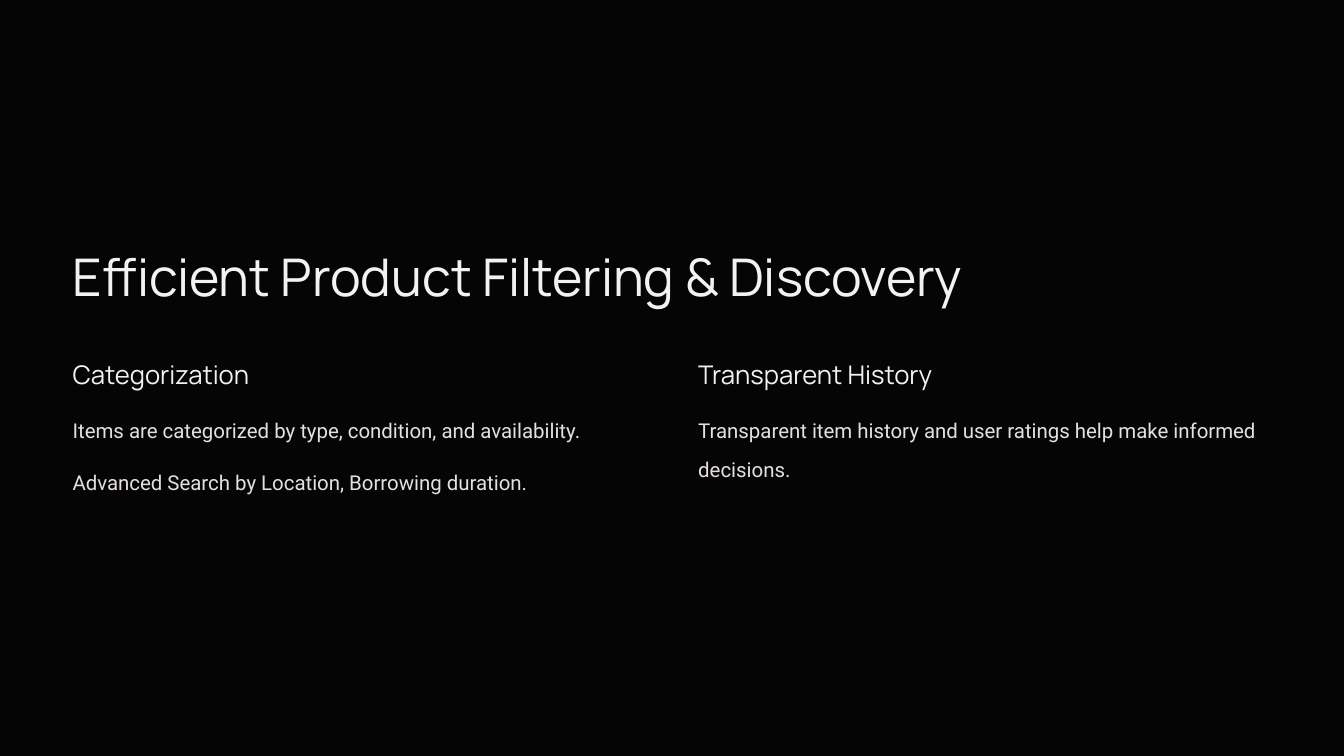
"""Build the product filtering and discovery slide."""
import pptx
import pptx.dml.color
import pptx.enum.shapes
import pptx.enum.text
import pptx.oxml.ns
import pptx.util
from lxml import etree

Inches = pptx.util.Inches
Pt = pptx.util.Pt

BACKGROUND = pptx.dml.color.RGBColor(0x19, 0x19, 0x1A)
PANEL = pptx.dml.color.RGBColor(0x05, 0x05, 0x05)
HEADING_COLOR = pptx.dml.color.RGBColor(0xF2, 0xF2, 0xF3)
BODY_COLOR = pptx.dml.color.RGBColor(0xE5, 0xE0, 0xDF)

TITLE = "Efficient Product Filtering & Discovery"
COLUMNS = [
    ("Categorization", [
        "Items are categorized by type, condition, and availability.",
        "Advanced Search by Location, Borrowing duration.",
    ]),
    ("Transparent History", [
        "Transparent item history and user ratings help make informed decisions.",
    ]),
]

TITLE_STYLE = ("Manrope", 55.6, 83.2, HEADING_COLOR)
HEADING_STYLE = ("Manrope", 27.5, 41.2, HEADING_COLOR)
BODY_STYLE = ("Roboto", 21.85, 42.6, BODY_COLOR)

LEFT = 1.08
COLUMN_WIDTH = 8.54
COLUMN_STEP = 9.31
PARAGRAPH_GAP = 13.3
COMPARISON_LAYOUT = 4


def add_panel(presentation, slide):
    panel = slide.shapes.add_shape(
        pptx.enum.shapes.MSO_SHAPE.RECTANGLE,
        0, 0, presentation.slide_width, presentation.slide_height,
    )
    panel.shadow.inherit = False
    panel.fill.solid()
    panel.fill.fore_color.rgb = PANEL
    panel.line.fill.background()
    slide.shapes.title._element.addprevious(panel._element)


def fill_placeholder(shape, box, texts, style):
    font_name, size, line_height, color = style
    shape.left, shape.top, shape.width, shape.height = map(Inches, box)
    frame = shape.text_frame
    frame.margin_left = frame.margin_top = frame.margin_right = frame.margin_bottom = 0
    frame.word_wrap = True
    frame.auto_size = pptx.enum.text.MSO_AUTO_SIZE.NONE
    frame.vertical_anchor = pptx.enum.text.MSO_ANCHOR.TOP
    for index, text in enumerate(texts):
        paragraph = frame.add_paragraph() if index else frame.paragraphs[0]
        properties = paragraph._p.get_or_add_pPr()
        properties.set("marL", "0")
        properties.set("indent", "0")
        etree.SubElement(properties, pptx.oxml.ns.qn("a:buNone"))
        paragraph.alignment = pptx.enum.text.PP_ALIGN.LEFT
        paragraph.line_spacing = Pt(line_height)
        paragraph.space_before = Pt(PARAGRAPH_GAP if index else 0)
        run = paragraph.add_run()
        run.text = text
        run.font.name = font_name
        run.font.size = Pt(size)
        run.font.bold = False
        run.font.color.rgb = color


def main():
    presentation = pptx.Presentation()
    presentation.slide_width = Inches(20)
    presentation.slide_height = Inches(11.25)
    slide = presentation.slides.add_slide(presentation.slide_layouts[COMPARISON_LAYOUT])
    slide.background.fill.solid()
    slide.background.fill.fore_color.rgb = BACKGROUND
    add_panel(presentation, slide)

    fill_placeholder(slide.shapes.title, (LEFT, 3.41, 14.03, 1.14), [TITLE], TITLE_STYLE)
    for column, (heading, texts) in enumerate(COLUMNS):
        left = LEFT + column * COLUMN_STEP
        heading_shape = slide.placeholders[1 + 2 * column]
        body_shape = slide.placeholders[2 + 2 * column]
        fill_placeholder(heading_shape, (left, 5.23, 3.88, 0.58), [heading], HEADING_STYLE)
        fill_placeholder(body_shape, (left, 5.99, COLUMN_WIDTH, 1.4), texts, BODY_STYLE)

    presentation.save("out.pptx")


if __name__ == "__main__":
    main()
